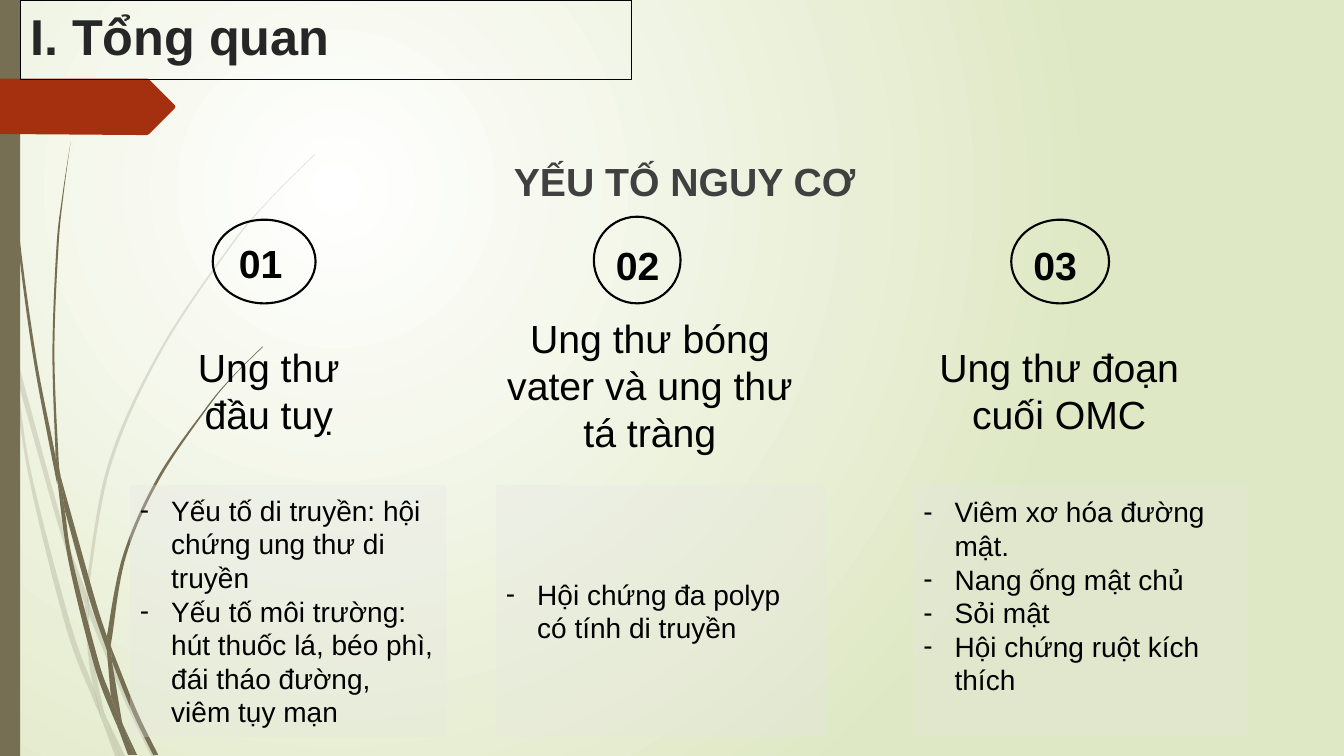
import lxml.etree
import pptx
import pptx.dml.color
import pptx.enum.shapes
import pptx.enum.text
import pptx.oxml.ns
import pptx.util

Inches, Pt, qn = pptx.util.Inches, pptx.util.Pt, pptx.oxml.ns.qn
ALIGN, ANCHOR = pptx.enum.text.PP_ALIGN, pptx.enum.text.MSO_ANCHOR
SHAPE = pptx.enum.shapes.MSO_SHAPE
COLORS = {
    "white": "FFFFFF", "pale green": "DFE8C4", "olive": "766F54", "rust": "A53010",
    "panel": "E7E6E6", "black": "000000", "title": "262626", "heading": "404040",
}


def paint(shape, color, opacity=100):
    """Give a shape a plain fill without outline or shadow."""
    shape.shadow.inherit = False
    shape.line.fill.background()
    shape.fill.solid()
    shape.fill.fore_color.rgb = pptx.dml.color.RGBColor.from_string(COLORS[color])
    if opacity < 100:
        value = next(shape.element.spPr.iter(qn("a:srgbClr")))
        lxml.etree.SubElement(value, qn("a:alpha")).set("val", str(opacity * 1000))


def write(frame, text, size, color="black", bold=False, align=ALIGN.LEFT, bullet=False):
    """Write into the last paragraph, or into a new one if that holds text."""
    paragraph = frame.paragraphs[-1]
    if paragraph.runs:
        paragraph = frame.add_paragraph()
    paragraph.alignment = align
    if bullet:
        properties = paragraph._p.get_or_add_pPr()
        properties.set("marL", str(Inches(0.31)))
        properties.set("indent", str(-Inches(0.31)))
        lxml.etree.SubElement(properties, qn("a:buFont")).set("typeface", "Arial")
        lxml.etree.SubElement(properties, qn("a:buChar")).set("char", "-")
    run = paragraph.add_run()
    run.text = text
    run.font.name, run.font.size, run.font.bold = "Arial", Pt(size), bold
    run.font.color.rgb = pptx.dml.color.RGBColor.from_string(COLORS[color])


presentation = pptx.Presentation()
presentation.slide_width, presentation.slide_height = Inches(13.33), Inches(7.5)
slide = presentation.slides.add_slide(presentation.slide_layouts[5])
shapes = slide.shapes

# Background glow centred in the upper left quarter
background = slide.background.fill
background.gradient()
for stop, color in zip(background.gradient_stops, ("white", "pale green")):
    stop.color.rgb = pptx.dml.color.RGBColor.from_string(COLORS[color])
linear = next(slide.element.iter(qn("a:lin")))
gradient = linear.getparent()
gradient.remove(linear)
glow = lxml.etree.SubElement(gradient, qn("a:path"))
glow.set("path", "circle")
focus = lxml.etree.SubElement(glow, qn("a:fillToRect"))
for side, share in zip("ltrb", (50, 50, 100, 100)):
    focus.set(side, str(share * 1000))

# Grass blades: each piece has two edges, bent smoothly through their points
faint_blades = [
    ([(0, 2.82), (0.09, 3.22), (0.11, 3.5)], [(0.1, 3.44), (0, 2.99)]),
    ([(0.14, 3.45), (0.62, 5.2), (0.85, 5.86)],
     [(0.84, 5.99), (0.58, 5.22), (0.17, 3.76)]),
    ([(0.88, 5.96), (0.92, 6.07), (1.27, 6.92), (1.55, 7.5)],
     [(1.5, 7.5), (1.23, 6.94), (0.88, 6.1)]),
    ([(1.05, 7.11), (1.24, 7.5)], [(1.19, 7.5)]),
    ([(0.11, 3.5), (0.17, 3.76), (0.31, 4.69), (0.7, 6.19), (0.93, 6.83), (1.01, 7.14)],
     [(0.92, 6.93), (0.65, 6.21), (0.28, 4.7), (0.11, 3.5)]),
    ([(0.84, 5.99), (0.87, 6.46), (0.93, 6.83), (1.05, 7.11)],
     [(1.03, 7.06), (0.91, 6.46), (0.88, 6.08)]),
    ([(0.88, 5.96), (0.88, 5.84), (1.1, 4.62), (1.6, 3.49), (2.29, 2.45), (2.68, 1.98),
      (3.12, 1.54)],
     [(3.12, 1.53), (2.68, 1.97), (2.28, 2.44), (1.58, 3.48), (1.07, 4.61), (0.85, 5.84)]),
    ([(1.01, 7.14), (1.14, 7.5)], [(1.19, 7.5)]),
    ([(0.85, 5.86), (0.88, 5.96), (0.88, 6.1)], [(0.88, 6.08), (0.84, 5.99)]),
    ([(0.93, 6.83), (0.96, 6.92), (1.05, 7.11), (1.19, 7.5)],
     [(1.01, 7.14), (0.99, 7.07)]),
]
strong_blades = [
    ([(0.04, 0), (0.05, 0.48), (0.08, 1.09), (0.19, 2.32), (0.36, 3.55), (0.55, 4.53),
      (0.57, 4.81)],
     [(0.56, 4.77), (0.33, 3.55), (0.17, 2.33), (0.07, 1.1), (0.04, 0.48), (0.03, 0)]),
    ([(0.6, 4.72), (0.93, 5.9), (1.06, 6.31)],
     [(1.06, 6.45), (0.88, 5.92), (0.64, 5.05)]),
    ([(1.1, 6.41), (1.13, 6.49), (1.36, 7.06), (1.57, 7.49)],
     [(1.52, 7.49), (1.32, 7.08), (1.11, 6.56)]),
    ([(0.57, 4.77), (0.64, 5.05), (0.72, 5.56), (0.98, 6.57), (1.1, 6.91), (1.17, 7.22)],
     [(1.11, 7.08), (0.93, 6.59), (0.68, 5.57), (0.57, 4.77)]),
    ([(0.7, 1.41), (0.63, 1.93), (0.58, 2.45), (0.54, 3.49), (0.58, 4.53), (0.6, 4.72)],
     [(0.55, 4.49), (0.52, 3.49), (0.56, 2.45), (0.62, 1.93), (0.7, 1.41)]),
    ([(1.22, 7.19), (1.36, 7.49)], [(1.33, 7.49)]),
    ([(0.55, 4.49), (0.6, 4.72), (0.64, 5.05)], [(0.57, 4.77), (0.55, 4.53)]),
    ([(1.1, 6.41), (1.11, 6.33), (1.25, 5.52), (1.58, 4.76), (2.05, 4.06), (2.31, 3.74),
      (2.61, 3.44)],
     [(2.6, 3.44), (2.31, 3.73), (2.04, 4.05), (1.56, 4.74), (1.22, 5.51), (1.06, 6.31)]),
    ([(1.17, 7.22), (1.31, 7.49)], [(1.27, 7.49)]),
    ([(1.06, 6.45), (1.09, 6.51), (1.11, 6.56), (1.21, 7.16)],
     [(1.22, 7.19), (1.16, 7.06), (1.1, 6.91)]),
    ([(1.06, 6.31), (1.1, 6.41), (1.11, 6.56)], [(1.09, 6.51), (1.06, 6.45)]),
    ([(1.1, 6.91), (1.16, 7.06), (1.22, 7.19), (1.33, 7.49)],
     [(1.3, 7.49), (1.17, 7.22)]),
]
for blades, opacity in ((faint_blades, 20), (strong_blades, 100)):
    for there, back in blades:
        outline = [(Inches(x), Inches(y)) for x, y in there + back]
        builder = shapes.build_freeform(*outline[0])
        builder.add_line_segments(outline[1:])
        blade = builder.convert_to_shape()
        paint(blade, "olive", opacity)
        segments = list(blade.element.iter(qn("a:lnTo")))
        for edge, first in ((there, 0), (back, len(there))):
            padded = [edge[0], *edge, edge[-1]]
            for index, (a, b, c, d) in enumerate(zip(padded, padded[1:], padded[2:], padded[3:])):
                curve = segments[first + index]
                curve.tag = qn("a:cubicBezTo")
                handles = [[q + (r - p) / 6 for p, q, r in zip(a, b, c)],
                           [r - (s - q) / 6 for q, r, s in zip(b, c, d)]]
                for position, (x, y) in enumerate(handles):
                    point = lxml.etree.Element(qn("a:pt"))
                    point.set("x", str(Inches(x) - blade.left))
                    point.set("y", str(Inches(y) - blade.top))
                    curve.insert(position, point)

# Side bar and page arrow
paint(shapes.add_shape(SHAPE.RECTANGLE, 0, 0, Inches(0.2), Inches(7.5)), "olive")
arrow = [(0, 0.78), (1.46, 0.78), (1.48, 0.79), (1.73, 1.04), (1.74, 1.06), (1.73, 1.08),
         (1.48, 1.33), (1.46, 1.34), (1.36, 1.34), (0, 1.33)]
builder = shapes.build_freeform(0, Inches(0.78))
builder.add_line_segments([(Inches(x), Inches(y)) for x, y in arrow[1:]])
paint(builder.convert_to_shape(), "rust")

heading = shapes.add_textbox(*map(Inches, (0.25, 1.51, 13.08, 5.99))).text_frame
heading.word_wrap = True
write(heading, "YẾU TỐ NGUY CƠ", 28, "heading", True, ALIGN.CENTER)

# Columns: ring, number left and top, cancer name with its box, panel left and width, factors
columns = [
    ((2.11, 2.18, 1.02, 0.83), (2.27, 2.33), "Ung thư đầu tuỵ", (1.62, 3.31, 2.09, 1.12),
     (1.29, 3.14),
     ["Yếu tố di truyền: hội chứng ung thư di truyền",
      "Yếu tố môi trường: hút thuốc lá, béo phì, đái tháo đường, viêm tụy mạn"]),
    ((5.89, 2.15, 0.86, 0.86), (6.01, 2.34), "Ung thư bóng vater và ung thư tá tràng",
     (4.92, 2.49, 3.05, 2.65), (4.92, 3.27), ["Hội chứng đa polyp có tính di truyền"]),
    ((10.03, 2.18, 0.97, 0.83), (10.15, 2.34), "Ung thư đoạn cuối OMC",
     (9.18, 3.31, 2.65, 1.12), (9.06, 3.32),
     ["Viêm xơ hóa đường mật.", "Nang ống mật chủ", "Sỏi mật",
      "Hội chứng ruột kích thích"]),
]
for number, (ring_box, corner, name, name_box, panel_box, factors) in enumerate(columns, 1):
    label = shapes.add_textbox(*map(Inches, name_box)).text_frame
    label.word_wrap, label.vertical_anchor = True, ANCHOR.MIDDLE
    label.margin_left = label.margin_right = Inches(0.1)
    label.margin_top = label.margin_bottom = Inches(0.1)
    write(label, name, 28, align=ALIGN.CENTER)

    ring = shapes.add_shape(SHAPE.OVAL, *map(Inches, ring_box))
    ring.shadow.inherit = False
    ring.fill.background()
    ring.line.color.rgb = pptx.dml.color.RGBColor.from_string(COLORS["black"])
    ring.line.width = Pt(1.5)

    label = shapes.add_textbox(*map(Inches, (*corner, 0.86, 0.57))).text_frame
    label.word_wrap = True
    write(label, f"{number:02}", 28, bold=True)

    left, width = panel_box
    panel = shapes.add_shape(SHAPE.RECTANGLE, *map(Inches, (left, 4.81, width, 2.5)))
    paint(panel, "panel", 29)
    frame = panel.text_frame
    frame.word_wrap, frame.vertical_anchor = True, ANCHOR.MIDDLE
    for factor in factors:
        write(frame, factor, 20, bullet=True)
frame.margin_bottom = Inches(0.35)

# Title, in front of the page arrow
title = shapes.title
title.left, title.top, title.width, title.height = map(Inches, (0.2, 0, 6.06, 0.79))
title.line.color.rgb = pptx.dml.color.RGBColor.from_string(COLORS["black"])
title.line.width = Pt(0.75)
title.text_frame.vertical_anchor = ANCHOR.TOP
title.text_frame.auto_size = pptx.enum.text.MSO_AUTO_SIZE.NONE
write(title.text_frame, "I. Tổng quan", 36, "title", True)
title.element.getparent().append(title.element)

presentation.save("out.pptx")
